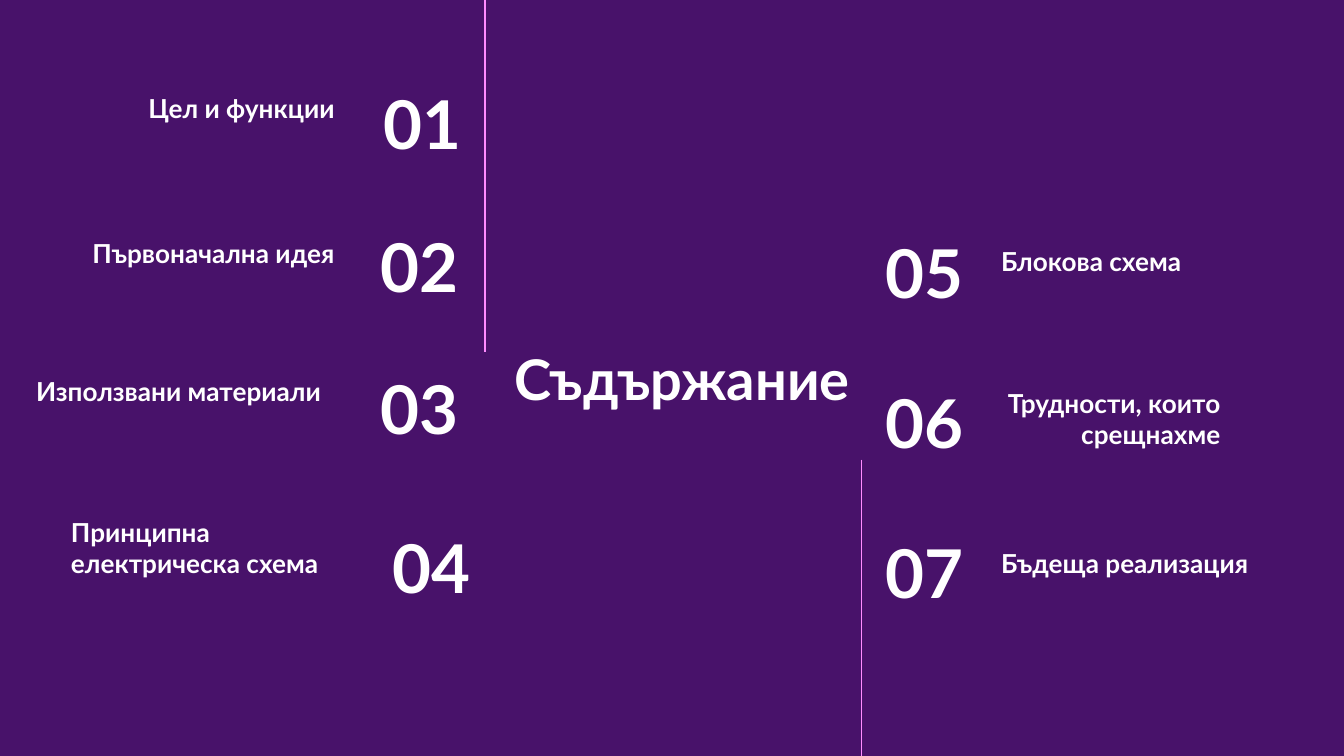
from lxml import etree
from pptx import Presentation
from pptx import util as u
from pptx.dml.color import RGBColor
from pptx.enum import shapes, text
from pptx.oxml.ns import qn

FONT = "Lato"
WHITE = "FFFFFF"
PURPLE = "48126A"
PINK = "FF8CFF"
LEFT, CENTER, RIGHT = text.PP_ALIGN.LEFT, text.PP_ALIGN.CENTER, text.PP_ALIGN.RIGHT
MIDDLE, BOTTOM = text.MSO_ANCHOR.MIDDLE, text.MSO_ANCHOR.BOTTOM
ROW_HEIGHT = 0.63

NUMBERS = [
    ("01", 2.32, 0.6, 1.21, RIGHT),
    ("02", 2.3, 1.66, 1.21, RIGHT),
    ("03", 2.3, 2.72, 1.21, RIGHT),
    ("04", 2.39, 3.9, 1.21, RIGHT),
    ("05", 6.49, 1.71, 1.17, LEFT),
    ("06", 6.49, 2.82, 1.17, LEFT),
    ("07", 6.49, 3.94, 1.17, LEFT),
]
TOPICS = [
    ("Цел и функции", 0.43, 0.39, 2.16, RIGHT),
    ("Първоначална идея", 0.43, 1.47, 2.16, RIGHT),
    ("Използвани материали", 0.17, 2.5, 2.93, LEFT),
    ("Принципна електрическа схема", 0.43, 3.78, 2.16, LEFT),
    ("Блокова схема", 7.35, 1.53, 2.16, LEFT),
    ("Трудности, които срещнахме", 6.41, 2.82, 2.77, RIGHT),
    ("Бъдеща реализация", 7.35, 3.78, 2.16, LEFT),
]
DIVIDERS = [(3.61, 0, 2.62), (6.41, 3.42, 5.64)]


def color(value):
    """Return the colour for a hex string."""
    return RGBColor.from_string(value)


def format_text(shape, wording, size, alignment, anchor):
    """Fill a shape with one bold white paragraph."""
    frame = shape.text_frame
    frame.text = wording
    frame.word_wrap = True
    frame.auto_size = text.MSO_AUTO_SIZE.NONE
    frame.vertical_anchor = anchor
    frame.margin_left = frame.margin_right = u.Inches(0.1)
    frame.margin_top = frame.margin_bottom = u.Inches(0.1)
    paragraph = frame.paragraphs[0]
    paragraph.alignment = alignment
    font = paragraph.runs[0].font
    font.name = FONT
    font.size = u.Pt(size)
    font.bold = True
    font.color.rgb = color(WHITE)


def set_title(slide, wording):
    """Place and format the slide title."""
    title = slide.shapes.title
    title.left, title.top = u.Inches(3.61), u.Inches(2.3)
    title.width, title.height = u.Inches(2.93), u.Inches(1.03)
    format_text(title, wording, 30, CENTER, MIDDLE)


def add_label(slide, entry, size, anchor):
    """Add one number or topic of the contents list."""
    wording, left, top, width, alignment = entry
    box = slide.shapes.add_textbox(
        u.Inches(left), u.Inches(top), u.Inches(width), u.Inches(ROW_HEIGHT)
    )
    format_text(box, wording, size, alignment, anchor)


def add_divider(slide, x, top, bottom):
    """Add a thin vertical line."""
    line = slide.shapes.add_connector(
        shapes.MSO_CONNECTOR.STRAIGHT,
        u.Inches(x), u.Inches(top), u.Inches(x), u.Inches(bottom),
    )
    line.line.color.rgb = color(PINK)
    line.line.width = u.Pt(0.75)
    etree.SubElement(line._element.spPr, qn("a:effectLst"))


def main():
    """Build the contents slide and save it."""
    presentation = Presentation()
    presentation.slide_width = u.Inches(10)
    presentation.slide_height = u.Inches(10) * 9 // 16
    slide = presentation.slides.add_slide(presentation.slide_layouts[5])
    slide.background.fill.solid()
    slide.background.fill.fore_color.rgb = color(PURPLE)
    set_title(slide, "Съдържание")
    for divider in DIVIDERS:
        add_divider(slide, *divider)
    for number in NUMBERS:
        add_label(slide, number, 36, MIDDLE)
    for topic in TOPICS:
        add_label(slide, topic, 14, BOTTOM)
    presentation.save("out.pptx")


if __name__ == "__main__":
    main()
